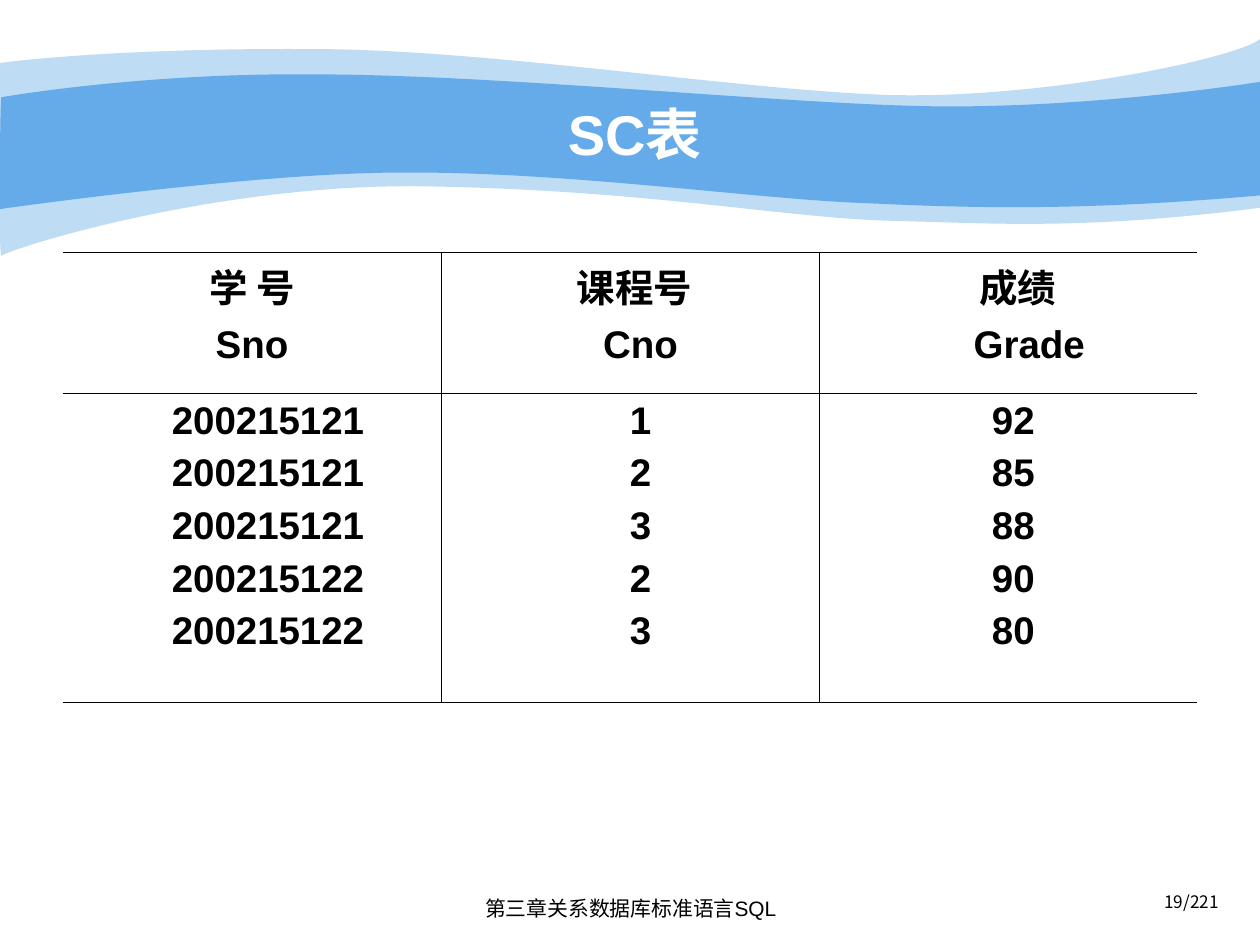
from pptx import Presentation, util as u
from pptx.dml.color import RGBColor
from pptx.enum import text
from pptx.oxml.ns import qn
from lxml import etree

COLORS = {"wave": "65AAE9", "ink": "000000", "title": "FFFFFF"}
LATIN, CHINESE = "Arial", "Noto Sans CJK SC"

WAVES = [
    {"alpha": 41, "start": (0, 1.27), "segments": [
        [(0.61, 1.19), (2.72, 0.97), (6.27, 0.99)],
        [(9.8, 0.99), (14.61, 1.78), (17.75, 1.91)],
        [(20.88, 2.03), (24.89, 1.19), (25.4, 0.79)],
        [(25.4, 4.19)],
        [(21.79, 4.65), (19.99, 4.5), (17.91, 4.45)],
        [(15.8, 4.39), (13.08, 3.84), (8.71, 3.76)],
        [(4.37, 3.66), (0.1, 5.05), (0.03, 5.16)],
        [(-0.03, 5.28), (0, 1.91), (0, 1.27)]]},
    {"alpha": 100, "start": (0.03, 1.96), "segments": [
        [(0.05, 1.96), (2.79, 1.47), (6.3, 1.5)],
        [(9.8, 1.5), (15.11, 2.03), (18.24, 2.13)],
        [(21.36, 2.24), (24.79, 1.75), (25.4, 1.65)],
        [(25.4, 3.94)],
        [(21.67, 4.27), (19.43, 4.19), (17.32, 4.09)],
        [(15.21, 4.01), (11.35, 3.45), (8.05, 3.48)],
        [(5.16, 3.48), (-0.05, 4.22), (-0.03, 4.22)],
        [(0, 4.22), (0, 1.96), (0.03, 1.96)]]},
]

LABELS = [
    {"words": "19/221", "box": (18.9, 17.93, 5.92, 0.74), "size": 9.8,
     "font": CHINESE, "align": "RIGHT", "spacing": 0.8},
    {"words": "第三章关系数据库标准语言SQL", "box": (8.69, 17.93, 8.05, 0.81), "size": 11.9},
    {"words": "SC表", "box": (2.54, 1.9, 20.52, 1.58), "size": 32,
     "color": "title", "bold": True, "anchor": "MIDDLE"},
]

COLUMNS = [
    {"header": [("学 号", 0), ("Sno", 0)], "indent": 0.43,
     "values": [" 200215121", " 200215121", " 200215121", " 200215122", " 200215122"]},
    {"header": [(" 课程号", 0), (" Cno", 0.21)], "indent": 0.21,
     "values": [" 1", " 2", " 3", " 2", " 3"]},
    {"header": [(" 成绩", 0.21), (" Grade", 0.64)], "indent": 0,
     "values": [" 92", " 85", " 88", " 90", " 80"]},
]
ROW_HEIGHTS = [2.84, 6.24]
TABLE_LEFT, TABLE_TOP, COLUMN_WIDTH = 1.27, 5.08, 7.62


def rgb(name):
    return RGBColor.from_string(COLORS[name])


def add_wave(slide, wave):
    points = [tuple(u.Cm(value) for value in point)
              for segment in wave["segments"] for point in segment]
    builder = slide.shapes.build_freeform(*(u.Cm(value) for value in wave["start"]))
    builder.add_line_segments(points, close=True)
    shape = builder.convert_to_shape()
    lines = iter(shape._element.findall(".//" + qn("a:lnTo")))
    for segment in wave["segments"]:
        steps = [next(lines) for _ in segment]
        if len(steps) == 3:
            curve = etree.Element(qn("a:cubicBezTo"))
            steps[0].addprevious(curve)
            for step in steps:
                curve.append(step[0])
                step.getparent().remove(step)
    shape.shadow.inherit = False
    shape.line.fill.background()
    shape.fill.solid()
    shape.fill.fore_color.rgb = rgb("wave")
    if wave["alpha"] < 100:
        color = shape._element.spPr.find(".//" + qn("a:srgbClr"))
        etree.SubElement(color, qn("a:alpha"), val=str(wave["alpha"] * 1000))


def style(paragraph, size, font=LATIN, color="ink", bold=False, align="CENTER"):
    paragraph.alignment = getattr(text.PP_ALIGN, align)
    paragraph.font.size = u.Pt(size)
    paragraph.font.name = font
    paragraph.font.bold = bold
    paragraph.font.color.rgb = rgb(color)
    defaults = paragraph._p.pPr.find(qn("a:defRPr"))
    etree.SubElement(defaults, qn("a:ea"), typeface=CHINESE)


def add_label(slide, words, box, size, spacing=None, anchor="TOP", **look):
    frame = slide.shapes.add_textbox(*(u.Cm(value) for value in box)).text_frame
    frame.word_wrap = True
    frame.vertical_anchor = getattr(text.MSO_ANCHOR, anchor)
    paragraph = frame.paragraphs[0]
    paragraph.text = words
    if spacing:
        paragraph.line_spacing = spacing
    style(paragraph, size, **look)


def set_borders(cell, visible):
    properties = cell._tc.get_or_add_tcPr()
    for position, side in enumerate("LRTB"):
        line = etree.Element(qn("a:ln" + side), w=str(u.Pt(0.45)))
        if side in visible:
            fill = etree.SubElement(line, qn("a:solidFill"))
            etree.SubElement(fill, qn("a:srgbClr"), val=COLORS["ink"])
        else:
            etree.SubElement(line, qn("a:noFill"))
        properties.insert(position, line)


def fill_cell(cell, lines):
    cell.fill.background()
    frame = cell.text_frame
    for index, (words, indent) in enumerate(lines):
        paragraph = frame.add_paragraph() if index else frame.paragraphs[0]
        paragraph.text = words
        paragraph.space_before = u.Pt(5.5)
        style(paragraph, 22, bold=True)
        if indent:
            paragraph._p.pPr.set("marL", str(u.Cm(indent)))


def add_grades(slide):
    table = slide.shapes.add_table(
        len(ROW_HEIGHTS), len(COLUMNS), u.Cm(TABLE_LEFT), u.Cm(TABLE_TOP),
        u.Cm(COLUMN_WIDTH * len(COLUMNS)), u.Cm(sum(ROW_HEIGHTS))).table
    table.first_row = table.horz_banding = False
    for row, height in zip(table.rows, ROW_HEIGHTS):
        row.height = u.Cm(height)
    for index, column in enumerate(COLUMNS):
        table.columns[index].width = u.Cm(COLUMN_WIDTH)
        left = "L" if index else ""
        right = "R" if index < len(COLUMNS) - 1 else ""
        body = [(value, column["indent"]) for value in column["values"]]
        for row, lines in enumerate((column["header"], body)):
            cell = table.cell(row, index)
            fill_cell(cell, lines)
            set_borders(cell, left + right + "TB")


def main():
    presentation = Presentation()
    presentation.slide_width, presentation.slide_height = u.Cm(25.4), u.Cm(19.05)
    slide = presentation.slides.add_slide(presentation.slide_layouts[6])
    for wave in WAVES:
        add_wave(slide, wave)
    for label in LABELS:
        add_label(slide, **label)
    add_grades(slide)
    presentation.save("out.pptx")


if __name__ == "__main__":
    main()
